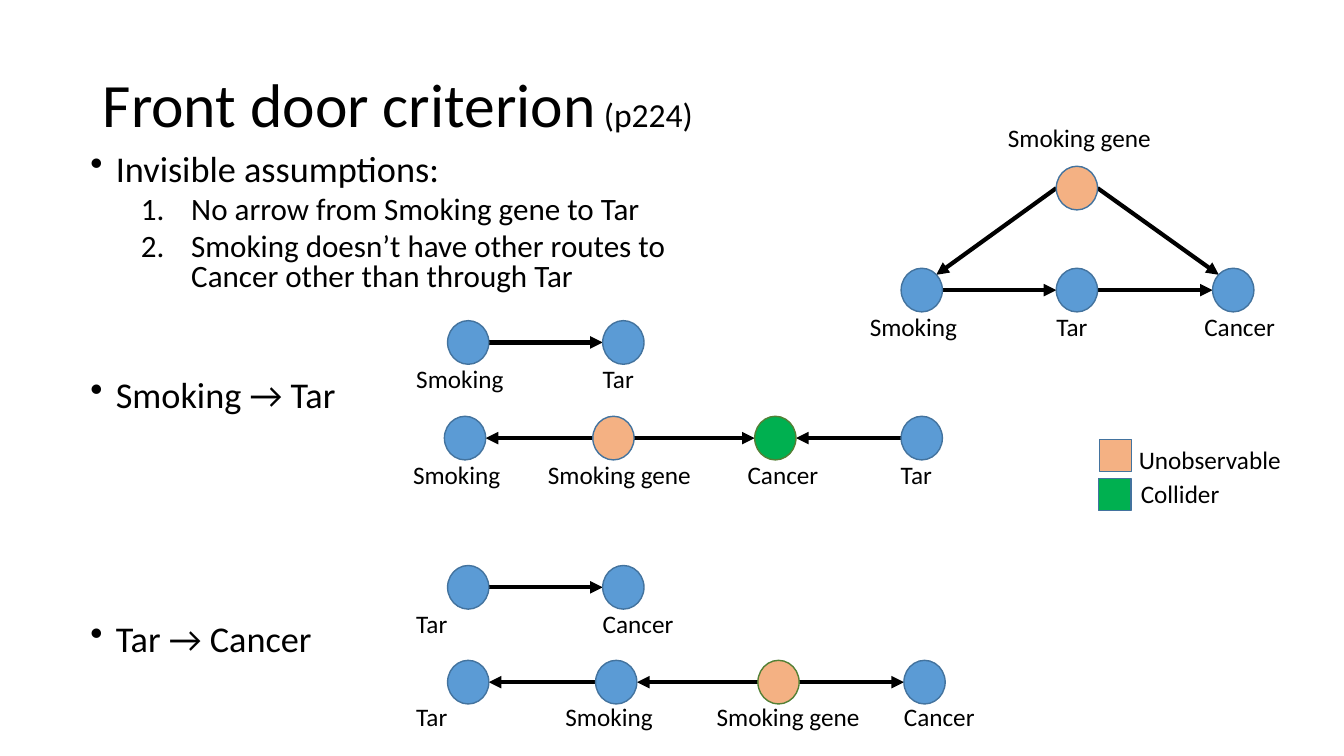
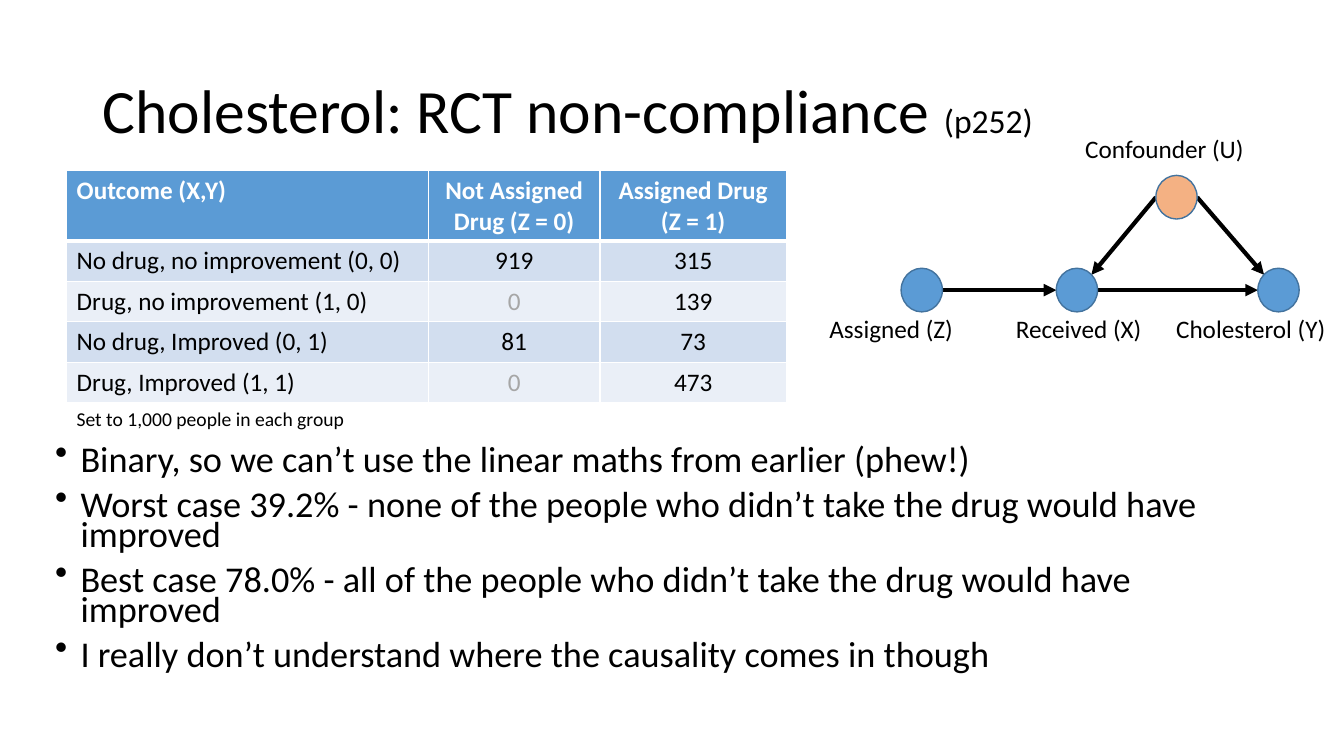
from lxml import etree
from pptx import Presentation
from pptx import util as u
from pptx.dml.color import RGBColor
from pptx.enum import shapes, text
from pptx.oxml import ns

BLACK = RGBColor(0x00, 0x00, 0x00)
WHITE = RGBColor(0xFF, 0xFF, 0xFF)
GREY = RGBColor(0xA6, 0xA6, 0xA6)
BLUE = RGBColor(0x5B, 0x9B, 0xD5)
DARK_BLUE = RGBColor(0x43, 0x73, 0x9E)
PEACH = RGBColor(0xF4, 0xB1, 0x83)
GREEN = RGBColor(0x00, 0xB0, 0x50)
DARK_GREEN = RGBColor(0x53, 0x80, 0x35)
BANDS = [RGBColor(0xD2, 0xDE, 0xEF), RGBColor(0xEA, 0xEF, 0xF7)]
FONT = "Calibri"
CENTER = text.PP_ALIGN.CENTER

# Node styles: fill and outline
OBSERVED = (BLUE, DARK_BLUE)
HIDDEN = (PEACH, DARK_BLUE)
HIDDEN_FORK = (PEACH, DARK_GREEN)
COLLIDER = (GREEN, DARK_GREEN)

NODE_WIDTH, NODE_HEIGHT, LABEL_HEIGHT = 1.04, 1.1, 1.02
LABEL_WIDTHS = {
    "Smoking gene": 4.17, "Smoking": 2.74, "Tar": 1.3, "Cancer": 2.31,
    "Unobservable": 4.11, "Collider": 2.51, "Confounder (U)": 4.55,
    "Assigned (Z)": 3.66, "Received (X)": 3.73, "Cholesterol (Y)": 4.32,
    "Set to 1,000 people in each group": 7.32,
}
# Points on a node where arrows attach, as fractions of its box
SITES = {"left": (0, 0.5), "right": (1, 0.5),
         "upper left": (0.15, 0.15), "upper right": (0.85, 0.15)}


def write(frame, words, size=18, color=BLACK, bold=False, align=None,
          spacing=None, before=0, bullet=None, indent=0, hang=0, note=""):
    """Add one paragraph to a text frame, with an optional smaller note."""
    paragraph = frame.paragraphs[0]
    if paragraph.runs:
        paragraph = frame.add_paragraph()
    paragraph.alignment = align
    paragraph.line_spacing = spacing
    paragraph.space_before = u.Pt(before)
    for part, points in ((words, size), (note, 24)):
        if part:
            run = paragraph.add_run()
            run.text = part
            run.font.name = FONT
            run.font.size = u.Pt(points)
            run.font.bold = bold
            run.font.color.rgb = color
    if bullet:
        properties = paragraph._p.get_or_add_pPr()
        properties.set("marL", str(u.Cm(indent)))
        properties.set("indent", str(-u.Cm(hang)))
        tag, attribute, value = bullet
        etree.SubElement(properties, ns.qn(tag)).set(attribute, value)


def add_text_box(slide, left, top, words, width=None, height=LABEL_HEIGHT, **style):
    """Add a text box; without a width it is a one-line label."""
    box = slide.shapes.add_textbox(u.Cm(left), u.Cm(top),
                                   u.Cm(width or LABEL_WIDTHS[words]), u.Cm(height))
    box.text_frame.word_wrap = width is not None
    write(box.text_frame, words, **style)
    return box.text_frame


presentation = Presentation()
presentation.slide_width, presentation.slide_height = u.Cm(33.87), u.Cm(19.05)
blank = presentation.slide_layouts[6]
front_door = presentation.slides.add_slide(blank)
cholesterol = presentation.slides.add_slide(blank)

# Titles
for slide, title, page, width, height in [
    (front_door, "Front door criterion", " (p224)", 18.01, 3.4),
    (cholesterol, "Cholesterol: RCT non-compliance ", "(p252)", 29.21, 3.68),
]:
    frame = add_text_box(slide, 2.34, 1.02, title, width, height,
                         size=44, spacing=0.9, note=page)
    frame.vertical_anchor = text.MSO_ANCHOR.MIDDLE

# Bullets
point = dict(size=25.9, before=10, indent=0.64, hang=0.64,
             bullet=("a:buChar", "char", "•"))
numbered = dict(size=22.2, spacing=0.8, before=5, indent=2.54, hang=1.27,
                bullet=("a:buAutoNum", "type", "arabicPeriod"))
assumptions = add_text_box(front_door, 2.03, 3.78, "Invisible assumptions:",
                           16.92, 4.2, spacing=0.8, **point)
write(assumptions, "No arrow from Smoking gene to Tar", **numbered)
write(assumptions, "Smoking doesn’t have other routes to Cancer other than through Tar",
      **numbered)
for top, step in [(9.47, "Smoking → Tar"), (15.62, "Tar → Cancer")]:
    add_text_box(front_door, 2.03, top, step, 8, 1.3, spacing=0.8, **point)

findings = add_text_box(cholesterol, 1.14, 11.18,
                        "Binary, so we can’t use the linear maths from earlier (phew!)",
                        31.01, 6.12, spacing=0.7, **point)
for finding in [
    "Worst case 39.2% - none of the people who didn’t take the drug would have improved",
    "Best case 78.0% - all of the people who didn’t take the drug would have improved",
    "I really don’t understand where the causality comes in though",
]:
    write(findings, finding, spacing=0.7, **point)

# Causal diagrams: rows of (node top, label top, nodes), then arrows.
# A node is (name, left, label left, style).
diagrams = [
    (front_door, [
        (4.19, 2.97, [("Smoking gene", 26.62, 25.15, HIDDEN)]),
        (6.76, 7.72, [("Smoking", 22.71, 21.67, OBSERVED),
                      ("Tar", 26.62, 26.37, OBSERVED),
                      ("Cancer", 30.56, 30.1, OBSERVED)]),
    ], [("Smoking gene", "left", "Smoking", "upper right"),
        ("Smoking gene", "right", "Cancer", "upper left"),
        ("Smoking", "right", "Tar", "left"),
        ("Tar", "right", "Cancer", "left")]),
    (front_door, [
        (8.08, 9.04, [("Smoking", 11.28, 10.24, OBSERVED),
                      ("Tar", 15.19, 14.94, OBSERVED)]),
    ], [("Smoking", "right", "Tar", "left")]),
    (front_door, [
        (10.49, 11.46, [("Smoking", 11.2, 10.16, OBSERVED),
                        ("Smoking gene", 14.94, 13.56, HIDDEN),
                        ("Cancer", 19.02, 18.59, COLLIDER),
                        ("Tar", 22.71, 22.45, OBSERVED)]),
    ], [("Smoking gene", "left", "Smoking", "right"),
        ("Smoking gene", "right", "Cancer", "left"),
        ("Tar", "left", "Cancer", "right")]),
    (front_door, [
        (14.25, 15.21, [("Tar", 11.28, 10.24, OBSERVED),
                        ("Cancer", 15.19, 14.94, OBSERVED)]),
    ], [("Tar", "right", "Cancer", "left")]),
    (front_door, [
        (16.64, 17.55, [("Tar", 11.28, 10.24, OBSERVED),
                        ("Smoking", 15.01, 14, OBSERVED),
                        ("Smoking gene", 19.1, 17.81, HIDDEN_FORK),
                        ("Cancer", 22.78, 22.53, OBSERVED)]),
    ], [("Smoking", "left", "Tar", "right"),
        ("Smoking gene", "left", "Smoking", "right"),
        ("Smoking gene", "right", "Cancer", "left")]),
    (cholesterol, [
        (4.42, 3.23, [("Confounder (U)", 29.13, 27.1, HIDDEN)]),
        (6.76, 7.77, [("Assigned (Z)", 22.71, 20.65, OBSERVED),
                      ("Received (X)", 26.62, 25.35, OBSERVED),
                      ("Cholesterol (Y)", 31.7, 29.39, OBSERVED)]),
    ], [("Confounder (U)", "left", "Received (X)", "upper right"),
        ("Confounder (U)", "right", "Cholesterol (Y)", "upper left"),
        ("Assigned (Z)", "right", "Received (X)", "left"),
        ("Received (X)", "right", "Cholesterol (Y)", "left")]),
]
# Filled shapes: (slide, preset, left, top, width, height, style)
marks = [
    (front_door, shapes.MSO_SHAPE.RECTANGLE, 27.71, 11.07, 0.81, 0.81, HIDDEN),
    (front_door, shapes.MSO_SHAPE.RECTANGLE, 27.69, 12.06, 0.81, 0.81, (GREEN, DARK_BLUE)),
]
for slide, rows, arrows in diagrams:
    corners = {}
    for top, label_top, nodes in rows:
        for name, left, label_left, style in nodes:
            corners[name] = (left, top)
            marks.append((slide, shapes.MSO_SHAPE.OVAL, left, top,
                          NODE_WIDTH, NODE_HEIGHT, style))
            add_text_box(slide, label_left, label_top, name)
    for source, source_site, target, target_site in arrows:
        ends = []
        for name, site in ((source, source_site), (target, target_site)):
            across, down = SITES[site]
            left, top = corners[name]
            ends += [u.Cm(left + across * NODE_WIDTH), u.Cm(top + down * NODE_HEIGHT)]
        arrow = slide.shapes.add_connector(shapes.MSO_CONNECTOR.STRAIGHT, *ends)
        arrow.line.color.rgb = BLACK
        arrow.line.width = u.Pt(3)
        etree.SubElement(arrow.line._get_or_add_ln(), ns.qn("a:tailEnd")).set("type", "triangle")
        etree.SubElement(arrow._element.spPr, ns.qn("a:effectLst"))

for slide, preset, left, top, width, height, (fill, outline) in marks:
    shape = slide.shapes.add_shape(preset, u.Cm(left), u.Cm(top), u.Cm(width), u.Cm(height))
    shape.shadow.inherit = False
    shape.fill.solid()
    shape.fill.fore_color.rgb = fill
    shape.line.color.rgb = outline
    shape.line.width = u.Pt(1)

# Legend and table note
add_text_box(front_door, 28.45, 11.07, "Unobservable")
add_text_box(front_door, 28.5, 11.94, "Collider")
add_text_box(cholesterol, 1.68, 10.13, "Set to 1,000 people in each group",
             height=0.86, size=14)

# Trial results
results = [
    ("Outcome (X,Y)", "Not Assigned Drug (Z = 0)", "Assigned Drug (Z = 1)"),
    ("No drug, no improvement (0, 0)", "919", "315"),
    ("Drug, no improvement (1, 0)", "0", "139"),
    ("No drug, Improved (0, 1)", "81", "73"),
    ("Drug, Improved (1, 1)", "0", "473"),
]
column_widths = [9.12, 4.32, 4.7]
row_heights = [1.78] + [1.02] * 4
table = cholesterol.shapes.add_table(
    len(results), len(column_widths), u.Cm(1.68), u.Cm(4.29),
    u.Cm(sum(column_widths)), u.Cm(sum(row_heights))).table
for column, width in zip(table.columns, column_widths):
    column.width = u.Cm(width)
for row, height in zip(table.rows, row_heights):
    row.height = u.Cm(height)
for row_index, values in enumerate(results):
    header = row_index == 0
    for column_index, value in enumerate(values):
        cell = table.cell(row_index, column_index)
        properties = cell._tc.get_or_add_tcPr()
        for side in ("lnL", "lnR", "lnT", "lnB"):
            thick = (row_index, side) in ((0, "lnB"), (1, "lnT"))
            border = etree.SubElement(properties, ns.qn("a:" + side))
            border.set("w", str(u.Pt(3 if thick else 1)))
            fill = etree.SubElement(border, ns.qn("a:solidFill"))
            etree.SubElement(fill, ns.qn("a:srgbClr")).set("val", str(WHITE))
        cell.fill.solid()
        cell.fill.fore_color.rgb = BLUE if header else BANDS[(row_index - 1) % 2]
        write(cell.text_frame, value, bold=header,
              color=WHITE if header else GREY if value == "0" else BLACK,
              align=CENTER if column_index else None)

presentation.save("out.pptx")
